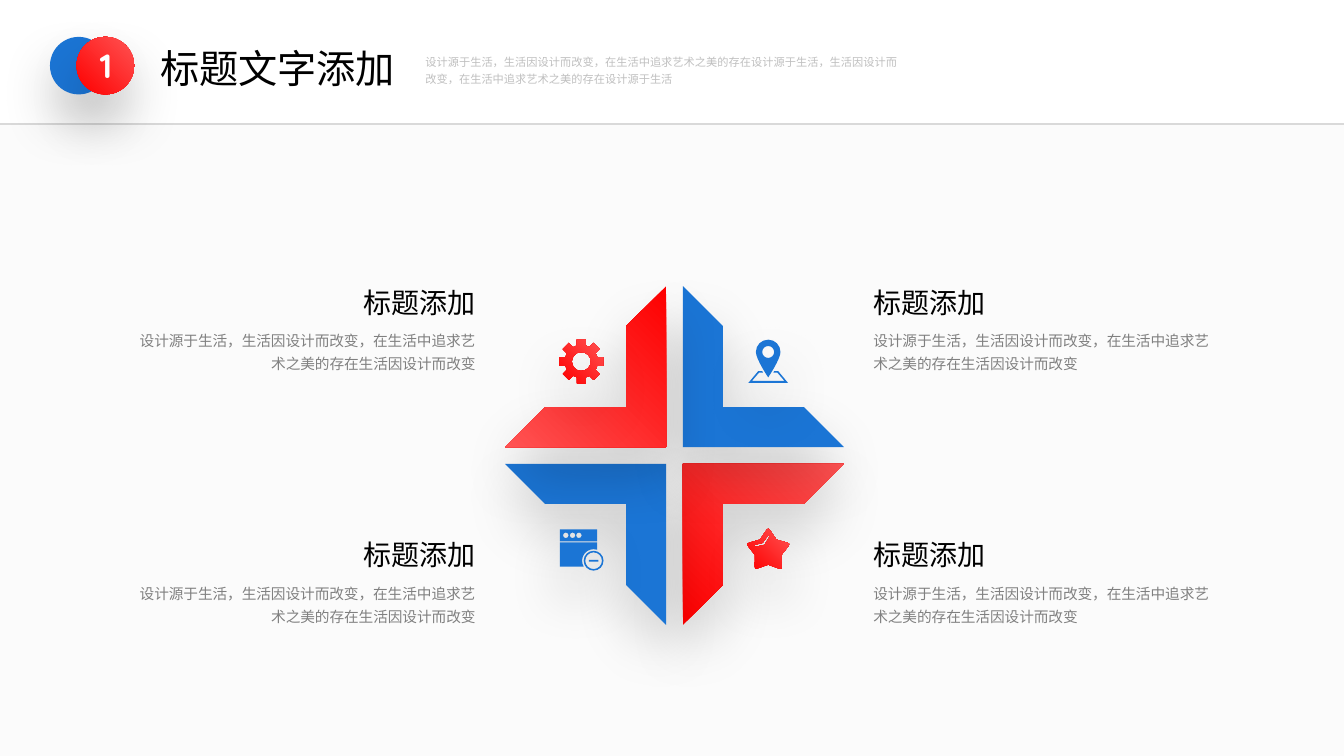
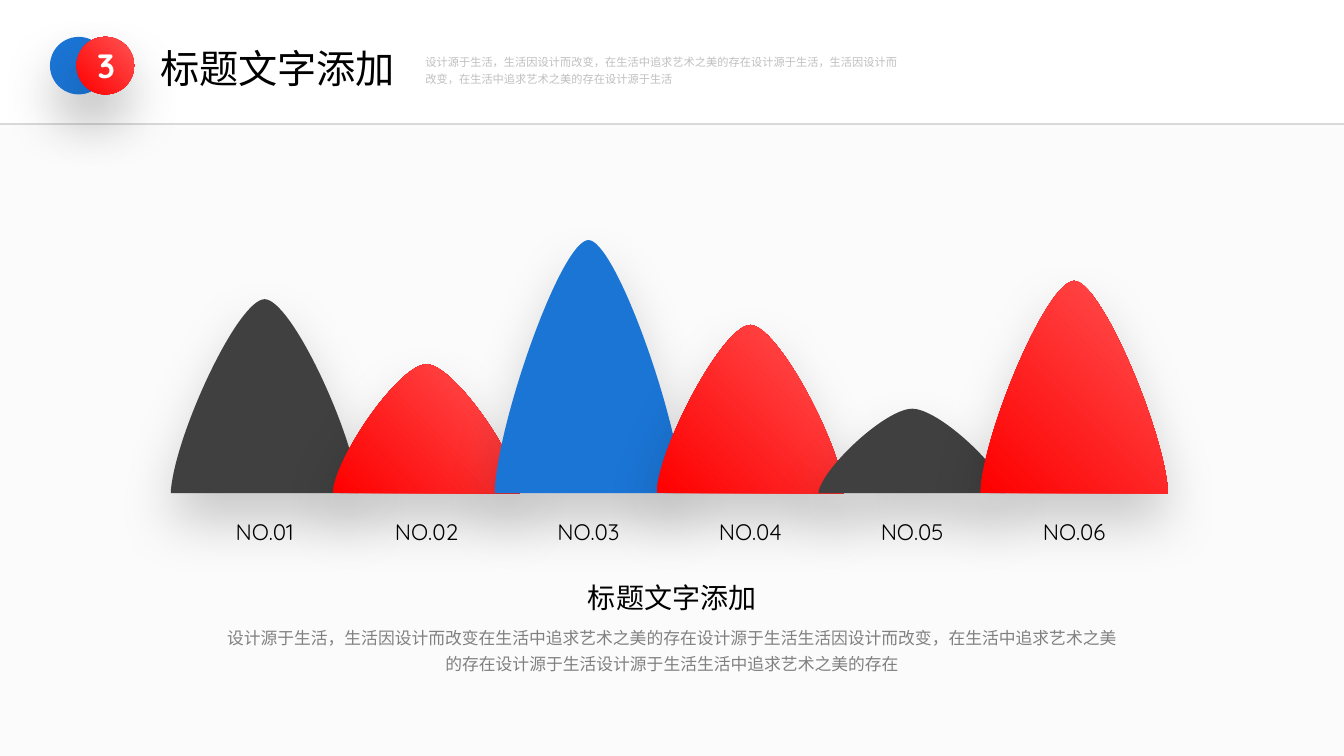
from math import ceil, cos, radians, sin, tan

from lxml import etree
from pptx import Presentation
from pptx.dml.color import RGBColor
from pptx.enum import shapes, text
from pptx.oxml import ns
from pptx.util import Cm, Pt

SLIDE_WIDTH, SLIDE_HEIGHT = 33.87, 19.05
HEADER_HEIGHT = 3.12
BLUE, DARK = "1B75D5", "404040"
RED_START, RED_END = "FE0000", "FF5353"
# Reds are gradients, named by the angle they run along
RED, RED_REVERSED = 45, 225
BLACK, GREY, LIGHT_GREY, WHITE = "000000", "808080", "BFBFBF", "FFFFFF"
BAND, RULE = "FBFBFB", "D9D9D9"
LATIN_FONT, CJK_FONT = "Quicksand", "Noto Sans CJK SC"
LEFT, CENTER, RIGHT = text.PP_ALIGN.LEFT, text.PP_ALIGN.CENTER, text.PP_ALIGN.RIGHT

SUBTITLE = ("设计源于生活，生活因设计而改变，在生活中追求艺术之美的存在"
            "设计源于生活，生活因设计而改变，在生活中追求艺术之美的存在设计源于生活")
QUADRANT_BODY = "设计源于生活，生活因设计而改变，在生活中追求艺术之美的存在生活因设计而改变"
SUMMARY = ("设计源于生活，生活因设计而改变在生活中追求艺术之美的存在设计源于生活"
           "生活因设计而改变，在生活中追求艺术之美的存在设计源于生活"
           "设计源于生活生活中追求艺术之美的存在")


def color(value):
    return RGBColor.from_string(value)


def paint(shape, fill, shadow=True):
    """Fill with a hex colour, or with the red gradient at an angle."""
    if isinstance(fill, str):
        shape.fill.solid()
        shape.fill.fore_color.rgb = color(fill)
    else:
        shape.fill.gradient()
        shape.fill.gradient_angle = fill
        for stop, value in zip(shape.fill.gradient_stops, (RED_START, RED_END)):
            stop.color.rgb = color(value)
    shape.line.fill.background()
    shape.shadow.inherit = False
    if shadow:
        effects = shape._element.spPr.find(ns.qn("a:effectLst"))
        outer = etree.SubElement(effects, ns.qn("a:outerShdw"), blurRad=str(Pt(40)),
                                 dist=str(Pt(20)), dir="5400000", algn="t", rotWithShape="0")
        shade = etree.SubElement(outer, ns.qn("a:srgbClr"), val=BLACK)
        etree.SubElement(shade, ns.qn("a:alpha"), val="20000")


def add_preset(slide, kind, left, top, width, height, fill, shadow=True):
    shape = slide.shapes.add_shape(kind, Cm(left), Cm(top), Cm(width), Cm(height))
    paint(shape, fill, shadow)
    return shape


def is_curve(item):
    return isinstance(item[0], tuple)


def bend_curves(shape, contours):
    """Join the three line segments that stand for each curve into one."""
    nodes = iter(list(shape._element.spPr.find(".//" + ns.qn("a:path"))))
    for contour in contours:
        for item in contour:
            node = next(nodes)
            if is_curve(item):
                curve = etree.Element(ns.qn("a:cubicBezTo"))
                node.addprevious(curve)
                for segment in (node, next(nodes), next(nodes)):
                    curve.append(segment[0])
                    segment.getparent().remove(segment)
        next(nodes)


def add_outline(slide, left, top, contours, fill):
    """Draw closed contours, in cm from (left, top); a curve is three points."""
    builder = None
    for contour in contours:
        points = []
        for item in contour:
            points += item if is_curve(item) else [item]
        points = [(Cm(x), Cm(y)) for x, y in points]
        if builder is None:
            builder = slide.shapes.build_freeform(*points[0])
        else:
            builder.move_to(*points[0])
        builder.add_line_segments(points[1:], close=True)
    shape = builder.convert_to_shape(Cm(left), Cm(top))
    bend_curves(shape, contours)
    paint(shape, fill)


def add_text(slide, left, top, width, height, content, size, ink=BLACK, font=CJK_FONT,
             align=LEFT, wrap=False, spacing=None, bold=False):
    box = slide.shapes.add_textbox(Cm(left), Cm(top), Cm(width), Cm(height))
    frame = box.text_frame
    frame.word_wrap = wrap
    frame.auto_size = text.MSO_AUTO_SIZE.SHAPE_TO_FIT_TEXT
    paragraph = frame.paragraphs[0]
    paragraph.alignment = align
    if spacing:
        paragraph.line_spacing = spacing
    run = paragraph.add_run()
    run.text = content
    run.font.size = Pt(size)
    run.font.bold = bold
    run.font.color.rgb = color(ink)
    run.font.name = font
    etree.SubElement(run.font._element, ns.qn("a:ea"), typeface=CJK_FONT)


def add_body(slide, left, top, width, height, content, size, ink=GREY, align=LEFT):
    add_text(slide, left, top, width, height, content, size, ink, LATIN_FONT, align,
             wrap=True, spacing=1.3)


def polar(radius, degrees):
    return radius * cos(radians(degrees)), radius * sin(radians(degrees))


def arc(x, y, radius, start=0, end=360):
    """Give the first point of an arc, then its curves."""
    count = ceil(abs(end - start) / 90)
    step = (end - start) / count
    pull = 4 / 3 * tan(radians(step / 4))
    items = []
    for index in range(count):
        dx, dy = polar(radius, start + index * step)
        next_dx, next_dy = polar(radius, start + (index + 1) * step)
        if not items:
            items.append((x + dx, y + dy))
        items.append(((x + dx - pull * dy, y + dy + pull * dx),
                      (x + next_dx + pull * next_dy, y + next_dy - pull * next_dx),
                      (x + next_dx, y + next_dy)))
    return items


def rectangle(left, top, right, bottom):
    return [(left, top), (right, top), (right, bottom), (left, bottom)]


def mirrored(points):
    return [(-x, y) for x, y in reversed(points)]


def gear_contours():
    rim = []
    for angle in range(0, 360, 45):
        c, s = polar(1, angle)
        tooth = [(0.4, -0.11), (0.55, -0.11), (0.55, 0.11), (0.4, 0.11)]
        rim += [(x * c - y * s, x * s + y * c) for x, y in tooth]
    return [rim, arc(0, 0, 0.24)]


def pin_contours():
    """Map pin above a tray, measured from the middle of its top."""
    outer = [(0.15, 0.79), (0.25, 0.79), (0.5, 1.09)]
    inner = [(0.41, 1.04), (0.23, 0.83), (0.13, 0.83)]
    tray = outer + mirrored(outer) + mirrored(inner) + inner
    tip = (0, 0.95)
    head = arc(0, 0.31, 0.31, 180, 360) + [((0.31, 0.49), tip, tip),
                                           (tip, (-0.31, 0.49), (-0.31, 0.31))]
    return [tray, head, arc(0, 0.31, 0.15)]


def window_contours():
    """Browser window with a minus badge, measured from its top left."""
    badge = (0.85, 0.79)
    body = [(0, 0.33), (0.94, 0.33), *arc(*badge, 0.29, 288, 149), (0, 0.94)]
    dots = [arc(x, 0.15, 0.07) for x in (0.15, 0.32, 0.48)]
    return [rectangle(0, 0, 0.94, 0.3), *dots, body, arc(*badge, 0.25),
            arc(*badge, 0.21), rectangle(0.73, 0.77, 0.97, 0.81)]


def star_contours():
    rim = []
    for tip in range(-90, 270, 72):
        corner = polar(0.57, tip)
        rim += [polar(0.52, tip - 5), (corner, corner, polar(0.52, tip + 5)),
                polar(0.35, tip + 36)]
    glint = [(0.04, -0.36), (-0.09, -0.15), (-0.32, -0.1), (-0.36, -0.13),
             (-0.34, -0.15), (-0.14, -0.2), (-0.01, -0.38), (0.03, -0.39)]
    return [rim, glint]


def hill_contour(width, height):
    def at(x, y):
        return x * width, y * height

    return [at(0.5, 0), (at(0.64, 0), at(0.97, 0.68), at(1, 0.98)), at(1, 1), at(0, 1),
            at(0, 0.98), (at(0.03, 0.68), at(0.36, 0), at(0.5, 0))]


def add_backdrop(slide, layout):
    """Put the band and rule on the layout, by way of a slide."""
    band = add_preset(slide, shapes.MSO_SHAPE.RECTANGLE, 0, HEADER_HEIGHT, SLIDE_WIDTH,
                      SLIDE_HEIGHT - HEADER_HEIGHT, BAND, shadow=False)
    rule = slide.shapes.add_connector(shapes.MSO_CONNECTOR.STRAIGHT, 0, Cm(HEADER_HEIGHT),
                                      Cm(SLIDE_WIDTH), Cm(HEADER_HEIGHT))
    rule.line.color.rgb = color(RULE)
    rule.line.width = Pt(1.5)
    etree.SubElement(rule._element.spPr, ns.qn("a:effectLst"))
    for shape in (band, rule):
        layout.shapes.element.append(shape._element)


def add_header(slide, number):
    for left, fill in ((1.26, BLUE), (1.93, RED)):
        add_preset(slide, shapes.MSO_SHAPE.OVAL, left, 0.93, 1.45, 1.45, fill)
    add_text(slide, 3.79, 0.99, 6.5, 1.45, "标题文字添加", 28)
    add_body(slide, 10.47, 1.17, 12.47, 1.09, SUBTITLE, 8, LIGHT_GREY)
    add_text(slide, 2.18, 1.01, 0.99, 1.27, number, 24, WHITE, LATIN_FONT, CENTER, bold=True)


def add_pinwheel(slide, center_x, center_y):
    arm, thick, gap = 4.06, 1.01, 0.21
    elbow = [(0, 0), (arm, 0), (arm - thick, thick), (thick, thick),
             (thick, arm - thick), (0, arm)]
    blades = ((1, 1, RED), (-1, 1, BLUE), (1, -1, BLUE), (-1, -1, RED_REVERSED))
    for side_x, side_y, fill in blades:
        blade = [(side_x * (x + gap), side_y * (y + gap)) for x, y in elbow]
        add_outline(slide, center_x, center_y, [blade], fill)
    icons = ((-2.89, 1.86, window_contours(), BLUE), (-2.35, -2.37, gear_contours(), RED),
             (2.36, 2.4, star_contours(), RED), (2.36, -2.92, pin_contours(), BLUE))
    for x, y, contours, fill in icons:
        add_outline(slide, center_x + x, center_y + y, contours, fill)


def add_quadrant_text(slide, left, top, align):
    width, title_width = 9.27, 3.35
    title_left = left + width - title_width if align == RIGHT else left
    add_body(slide, left, top + 1.05, width, 1.42, QUADRANT_BODY, 10.5, align=align)
    add_text(slide, title_left, top, title_width, 1.12, "标题添加", 20, align=align)


def add_hills(slide, left, baseline):
    width, step, label_width = 4.72, 4.08, 2.49
    hills = ((4.89, DARK), (3.25, RED), (6.38, BLUE), (4.24, RED), (2.13, DARK), (5.35, RED))
    for index, (height, fill) in enumerate(hills):
        add_outline(slide, left + index * step, baseline - height,
                    [hill_contour(width, height)], fill)
    for index in range(len(hills)):
        label_left = left + index * step + (width - label_width) / 2
        add_text(slide, label_left, baseline + 0.5, label_width, 0.94, f"NO.{index + 1:02}",
                 16, font=LATIN_FONT, align=CENTER, wrap=True)


def build_pinwheel_slide(slide):
    add_pinwheel(slide, 17, 11.48)
    for left, align in ((21.76, LEFT), (2.97, RIGHT)):
        for top in (7.06, 13.42):
            add_quadrant_text(slide, left, top, align)
    add_header(slide, "1")


def build_hills_slide(slide):
    add_body(slide, 5.33, 15.54, 23.22, 1.52, SUMMARY, 12, align=CENTER)
    add_text(slide, 14.55, 14.5, 4.78, 1.12, "标题文字添加", 20, align=CENTER)
    add_hills(slide, 4.31, 12.43)
    add_header(slide, "3")


def main():
    presentation = Presentation()
    presentation.slide_width, presentation.slide_height = Cm(SLIDE_WIDTH), Cm(SLIDE_HEIGHT)
    layout = presentation.slide_layouts[6]
    pinwheel_slide = presentation.slides.add_slide(layout)
    add_backdrop(pinwheel_slide, layout)
    build_pinwheel_slide(pinwheel_slide)
    build_hills_slide(presentation.slides.add_slide(layout))
    presentation.save("out.pptx")


if __name__ == "__main__":
    main()
